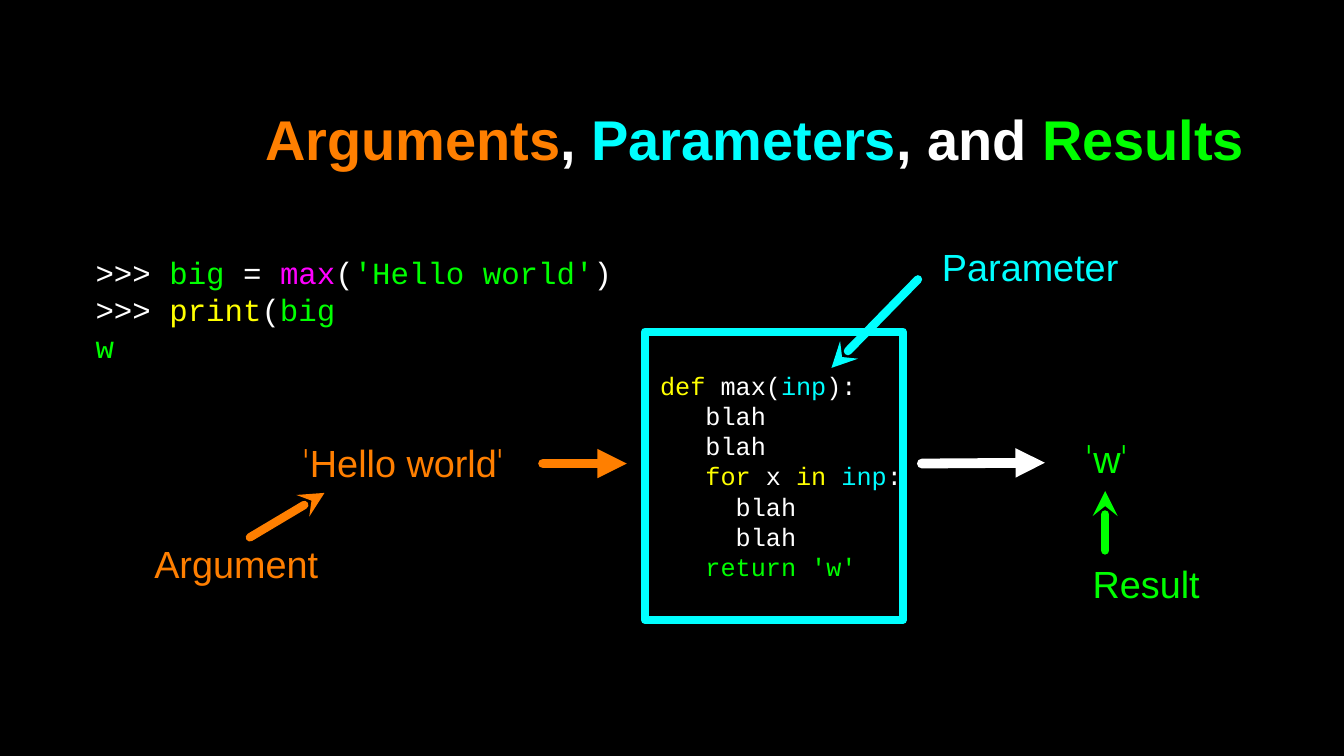
"""Build the slide on arguments, parameters and results of a function."""
from dataclasses import dataclass
from typing import Optional

from lxml import etree
from pptx import Presentation
from pptx import util as u
from pptx.dml.color import RGBColor
from pptx.enum import shapes, text
from pptx.oxml.ns import qn

BLACK, WHITE, ORANGE, CYAN = "000000", "FFFFFF", "FF7F00", "00FFFF"
GREEN, YELLOW, MAGENTA, SKY = "00FF00", "FFFF00", "FF00FF", "00FDFF"
SANS, MONO, QUOTE = "Arial", "Courier New", "TeX Gyre Adventor"
LEFT, CENTER, RIGHT = text.PP_ALIGN.LEFT, text.PP_ALIGN.CENTER, text.PP_ALIGN.RIGHT


@dataclass
class Run:
    text: str
    color: str = WHITE
    font: Optional[str] = None


@dataclass
class Label:
    x: float
    y: float
    w: float
    runs: list[Run]


@dataclass
class Arrow:
    start: tuple[float, float]
    tip: tuple[float, float]
    color: str
    width: int = 6
    head: str = "stealth"


TITLE = [Run("Arguments", ORANGE), Run(", "), Run("Parameters", CYAN),
         Run(", and "), Run("Results", GREEN)]

SESSION = [
    [Run(">>> "), Run("big", GREEN), Run(" = "), Run("max", MAGENTA), Run("("),
     Run("'Hello world'", GREEN), Run(")")],
    [Run(">>> "), Run("print", YELLOW), Run("("), Run("big", GREEN)],
    [Run("w", GREEN)],
]

FUNCTION = [
    [Run(" def", YELLOW), Run(" max("), Run("inp", CYAN), Run("):")],
    *[[Run("    blah")]] * 2,
    [Run("    "), Run("for", YELLOW), Run(" x "), Run("in ", YELLOW),
     Run("inp", SKY), Run(":")],
    *[[Run("      blah")]] * 2,
    [Run("    "), Run("return 'w'", GREEN)],
]


def quoted(word: str, color: str) -> list[Run]:
    """Return the runs of a word between single quotes."""
    mark = Run("'", color, QUOTE)
    return [mark, Run(word, color), mark]


LABELS = [
    Label(7.2, 11, 5.94, quoted("Hello world", ORANGE)),
    Label(27.23, 10.9, 1.35, quoted("w", GREEN)),
    Label(3.53, 13.54, 4.85, [Run("Argument", ORANGE)]),
    Label(23.39, 6.07, 5.16, [Run("Parameter", CYAN)]),
    Label(27.13, 14.05, 3.53, [Run("Result", GREEN)]),
]

ARROWS = [
    Arrow((13.69, 11.68), (15.8, 11.68), ORANGE, 7, "triangle"),
    Arrow((23.24, 11.68), (26.34, 11.66), WHITE, 7, "triangle"),
    Arrow((6.3, 13.54), (8.18, 12.42), ORANGE),
    Arrow((23.14, 7.04), (20.96, 9.27), CYAN),
    Arrow((27.86, 13.87), (27.86, 12.37), GREEN),
]


def rgb(color: str) -> RGBColor:
    """Turn a hex string into a colour."""
    return RGBColor.from_string(color)


def write(tf, lines: list[list[Run]], *, size: float, font: str = SANS,
          align=LEFT, bold: bool = False, inset: float = 0) -> None:
    """Fill a text frame with lines of coloured runs."""
    tf.word_wrap = True
    tf.vertical_anchor = text.MSO_ANCHOR.MIDDLE
    tf.margin_left = tf.margin_right = tf.margin_top = tf.margin_bottom = u.Cm(inset)
    for i, line in enumerate(lines):
        p = tf.add_paragraph() if i else tf.paragraphs[0]
        p.alignment = align
        for run in line:
            r = p.add_run()
            r.text = run.text
            r.font.name = run.font or font
            r.font.size = u.Pt(size)
            r.font.bold = bold
            r.font.color.rgb = rgb(run.color)


def add_text(s, x: float, y: float, w: float, h: float,
             lines: list[list[Run]], **style) -> None:
    """Add a text box placed in centimetres."""
    sp = s.shapes.add_textbox(u.Cm(x), u.Cm(y), u.Cm(w), u.Cm(h))
    write(sp.text_frame, lines, **style)


def style_line(sp, color: str, width: float):
    """Give a shape a solid line with round ends and joins."""
    sp.line.color.rgb = rgb(color)
    sp.line.width = u.Pt(width)
    ln = sp.line._get_or_add_ln()
    ln.set("cap", "rnd")
    etree.SubElement(ln, qn("a:round"))
    return ln


def add_arrow(s, arrow: Arrow) -> None:
    """Draw an arrow from its start to its tip."""
    ends = [u.Cm(v) for v in (*arrow.start, *arrow.tip)]
    sp = s.shapes.add_connector(shapes.MSO_CONNECTOR.STRAIGHT, *ends)
    ln = style_line(sp, arrow.color, arrow.width)
    etree.SubElement(ln, qn("a:tailEnd"), type=arrow.head)
    etree.SubElement(sp._element.spPr, qn("a:effectLst"))


def add_function_box(s) -> None:
    """Draw the framed function definition."""
    sp = s.shapes.add_shape(shapes.MSO_SHAPE.RECTANGLE,
                            u.Cm(16.26), u.Cm(8.36), u.Cm(6.5), u.Cm(7.26))
    sp.shadow.inherit = False
    sp.fill.background()
    style_line(sp, CYAN, 6)
    write(sp.text_frame, FUNCTION, size=18, font=MONO)


def main() -> None:
    """Build and save the slide."""
    prs = Presentation()
    prs.slide_width, prs.slide_height = u.Cm(33.88), u.Cm(19.05)
    s = prs.slides.add_slide(prs.slide_layouts[6])
    s.background.fill.solid()
    s.background.fill.fore_color.rgb = rgb(BLACK)
    add_text(s, 2.41, 1.7, 29.03, 3.58, [TITLE], size=40, bold=True,
             align=RIGHT, inset=0.08)
    add_text(s, 2.41, 6.07, 15.75, 3.45, SESSION, size=22, font=MONO)
    add_function_box(s)
    for label in LABELS:
        add_text(s, label.x, label.y, label.w, 1.3, [label.runs], size=27, align=CENTER)
    for arrow in ARROWS:
        add_arrow(s, arrow)
    prs.save("out.pptx")


if __name__ == "__main__":
    main()
